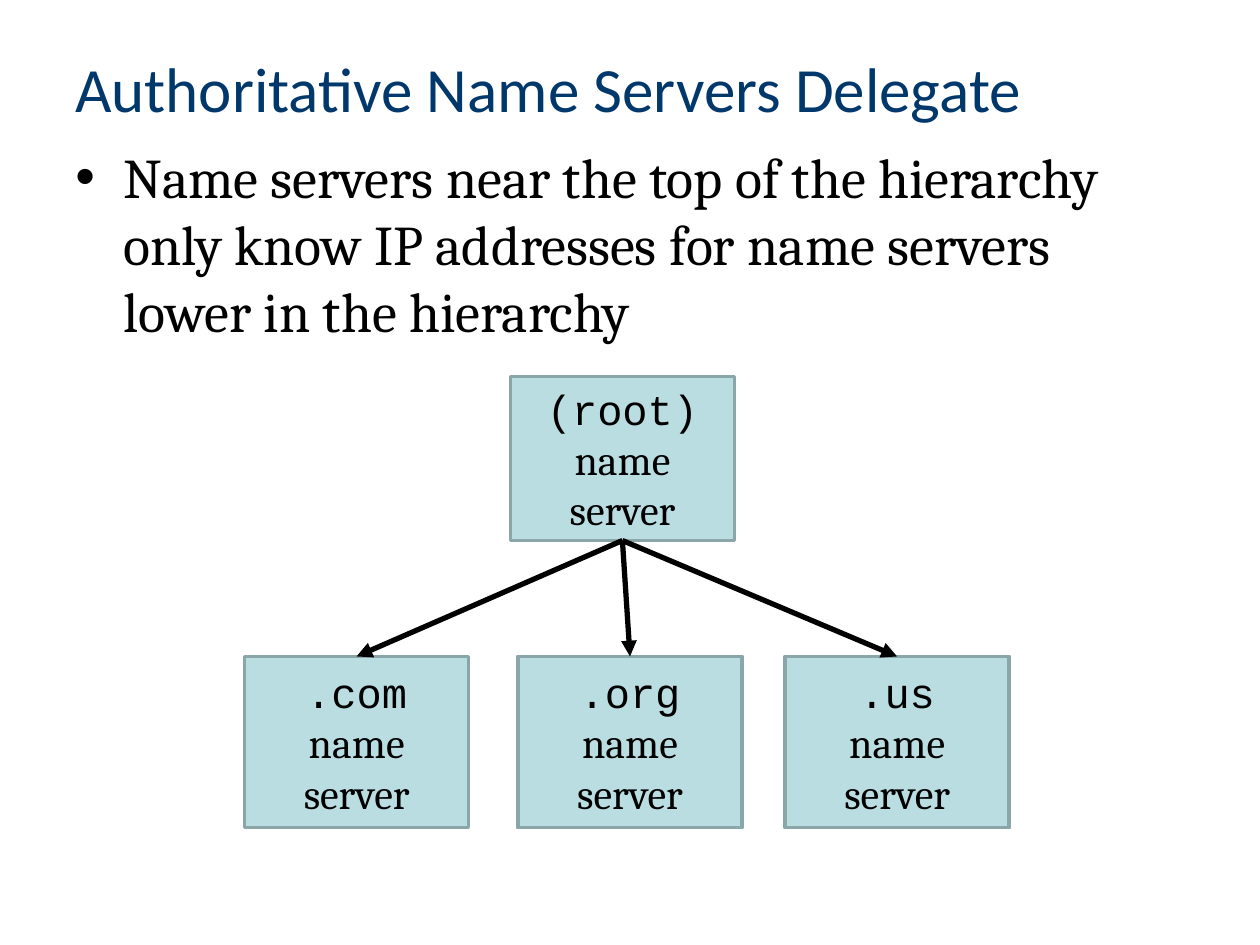
from dataclasses import dataclass

from lxml.etree import SubElement
from pptx import Presentation
from pptx.dml.color import RGBColor as RGB
from pptx.enum.shapes import MSO_CONNECTOR as Link, MSO_SHAPE as Shape
from pptx.enum.text import MSO_ANCHOR as Anchor, PP_ALIGN as Align
from pptx.oxml.ns import qn
from pptx.util import Inches, Pt


@dataclass(frozen=True)
class Theme:
    navy: RGB = RGB(0x00, 0x38, 0x6B)
    ink: RGB = RGB(0, 0, 0)
    fill: RGB = RGB(0xBA, 0xDD, 0xE1)
    edge: RGB = RGB(0x8A, 0xA6, 0xA8)
    head: str = "Calibri"
    body: str = "Cambria"
    code: str = "Courier New"
    big: int = 36
    mid: int = 32
    small: int = 24


class Board:
    def __init__(self, slide, theme):
        self.slide = slide
        self.theme = theme

    def run(self, para, text, font, size, color):
        run = para.add_run()
        run.text = text
        run.font.name = font
        run.font.size = Pt(size)
        run.font.color.rgb = color

    def frame(self, x, y, w, h):
        """Add a wrapping text box and return its text frame."""
        box = self.slide.shapes.add_textbox(*map(Inches, (x, y, w, h)))
        box.text_frame.word_wrap = True
        return box.text_frame

    def title(self, text, *area):
        frame = self.frame(*area)
        frame.vertical_anchor = Anchor.MIDDLE
        t = self.theme
        self.run(frame.paragraphs[0], text, t.head, t.big, t.navy)

    def bullet(self, text, *area):
        para = self.frame(*area).paragraphs[0]
        t = self.theme
        para.space_before = Pt(0.2 * t.mid)
        props = para._p.get_or_add_pPr()
        props.set("marL", str(Inches(0.38)))
        props.set("indent", str(Inches(-0.38)))
        SubElement(props, qn("a:buFont"), typeface="Arial")
        SubElement(props, qn("a:buChar"), char="•")
        self.run(para, text, t.body, t.mid, t.ink)

    def server(self, zone, x, y, w, h):
        """Draw the box of the name server for one zone."""
        t = self.theme
        box = self.slide.shapes.add_shape(
            Shape.RECTANGLE, *map(Inches, (x, y, w, h)))
        box.shadow.inherit = False
        box.fill.solid()
        box.fill.fore_color.rgb = t.fill
        box.line.color.rgb = t.edge
        box.line.width = Pt(2)
        frame = box.text_frame
        frame.word_wrap = True
        frame.vertical_anchor = Anchor.MIDDLE
        top, low = frame.paragraphs[0], frame.add_paragraph()
        top.alignment = low.alignment = Align.CENTER
        self.run(top, zone, t.code, t.small, t.ink)
        self.run(low, "name server", t.body, t.small, t.ink)
        return box

    def arrow(self, start, end):
        """Join the bottom of one box to the top of another."""
        link = self.slide.shapes.add_connector(Link.STRAIGHT, 0, 0, 0, 0)
        link.begin_connect(start, 2)
        link.end_connect(end, 0)
        link.line.color.rgb = self.theme.ink
        link.line.width = Pt(3)
        SubElement(link.line._get_or_add_ln(), qn("a:tailEnd"), type="triangle")
        SubElement(link._element.spPr, qn("a:effectLst"))


def main():
    deck = Presentation()
    deck.slide_width, deck.slide_height = Inches(10), Inches(7.5)
    board = Board(deck.slides.add_slide(deck.slide_layouts[6]), Theme())

    board.title("Authoritative Name Servers Delegate", 0.5, 0.3, 9, 0.78)
    board.bullet("Name servers near the top of the hierarchy only know IP "
                 "addresses for name servers lower in the hierarchy",
                 0.5, 1.08, 9, 4.95)

    width = 1.78
    root = board.server("(root)", 4.05, 2.99, width, 1.3)
    for zone, x in ((".com", 1.94), (".org", 4.11), (".us", 6.23)):
        board.arrow(root, board.server(zone, x, 5.21, width, 1.36))

    deck.save("out.pptx")


if __name__ == "__main__":
    main()
